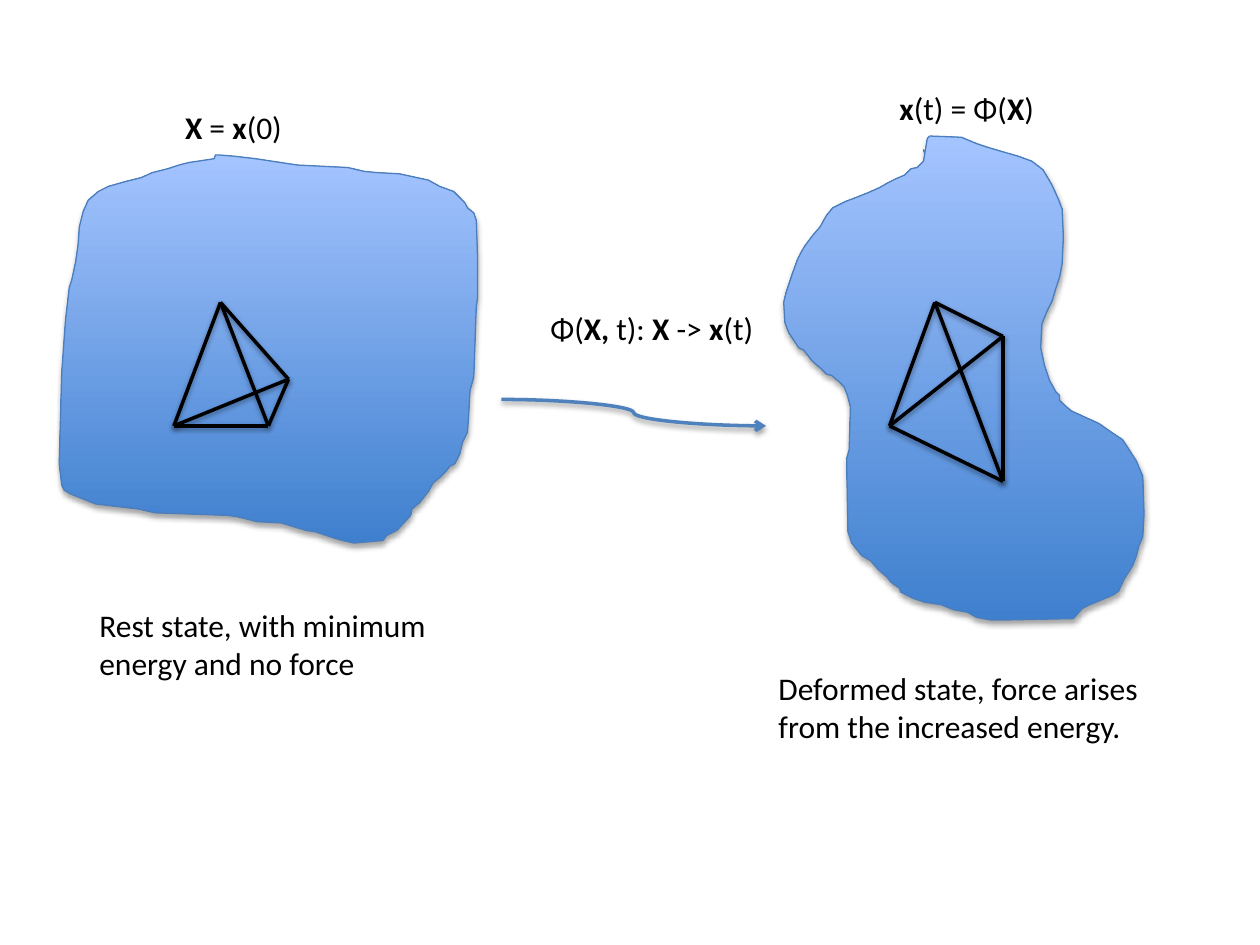
from dataclasses import dataclass
from itertools import combinations

from lxml import etree
from pptx import Presentation, util as u
from pptx.dml.color import RGBColor
from pptx.enum import shapes, text
from pptx.oxml import ns


@dataclass(frozen=True)
class Theme:
    font: str = "Calibri"
    size: int = 18
    ink: str = "000000"
    body_low: str = "3F80CE"
    body_high: str = "A4C4FF"
    outline: str = "4B7EBC"
    mapping: str = "4F81BD"
    outline_width: float = 0.75
    line_width: float = 2
    shadow_blur: float = 3.1
    body_shadow: tuple = (35, 1.8)
    line_shadow: tuple = (38, 1.6)


class Sketch:
    def __init__(self, slide, theme):
        self.slide = slide
        self.theme = theme

    def shade(self, element, opacity, distance):
        effects = etree.SubElement(element.spPr, ns.qn("a:effectLst"))
        shadow = etree.SubElement(
            effects, ns.qn("a:outerShdw"),
            blurRad=str(u.Pt(self.theme.shadow_blur)), dist=str(u.Pt(distance)),
            dir="5400000", rotWithShape="0")
        color = etree.SubElement(shadow, ns.qn("a:srgbClr"), val=self.theme.ink)
        etree.SubElement(color, ns.qn("a:alpha"), val=str(opacity * 1000))

    def body(self, outline):
        points = [(u.Inches(x), u.Inches(y)) for x, y in outline]
        builder = self.slide.shapes.build_freeform(*points[0])
        builder.add_line_segments(points[1:], close=True)
        body = builder.convert_to_shape()
        body.fill.gradient()
        body.fill.gradient_angle = 90
        for stop, color in zip(body.fill.gradient_stops,
                               (self.theme.body_low, self.theme.body_high)):
            stop.color.rgb = RGBColor.from_string(color)
        body.line.color.rgb = RGBColor.from_string(self.theme.outline)
        body.line.width = u.Pt(self.theme.outline_width)
        self.shade(body._element, *self.theme.body_shadow)

    def line(self, start, end, color, kind=shapes.MSO_CONNECTOR.STRAIGHT, arrow=False):
        line = self.slide.shapes.add_connector(
            kind, *(u.Inches(value) for value in (*start, *end)))
        line.line.color.rgb = RGBColor.from_string(color)
        line.line.width = u.Pt(self.theme.line_width)
        if arrow:
            etree.SubElement(line.line._get_or_add_ln(), ns.qn("a:tailEnd"), type="arrow")
        self.shade(line._element, *self.theme.line_shadow)

    def mapping(self, start, end):
        self.line(start, end, self.theme.mapping, shapes.MSO_CONNECTOR.CURVE, True)

    def tetrahedron(self, vertices):
        for start, end in combinations(vertices, 2):
            self.line(start, end, self.theme.ink)

    def label(self, left, top, width, height, *runs):
        box = self.slide.shapes.add_textbox(
            *(u.Inches(value) for value in (left, top, width, height)))
        frame = box.text_frame
        frame.word_wrap = True
        frame.auto_size = text.MSO_AUTO_SIZE.SHAPE_TO_FIT_TEXT
        for words, bold in runs:
            run = frame.paragraphs[0].add_run()
            run.text = words
            run.font.name = self.theme.font
            run.font.size = u.Pt(self.theme.size)
            run.font.bold = bold
            run.font.color.rgb = RGBColor.from_string(self.theme.ink)


REST_BODY = [
    (1.7, 1.26), (1.5, 1.29), (1.42, 1.31), (1.33, 1.34), (1.21, 1.37), (1.12, 1.41),
    (1, 1.44), (0.86, 1.48), (0.78, 1.52), (0.7, 1.59), (0.66, 1.68), (0.63, 1.8),
    (0.62, 1.94), (0.6, 2.08), (0.57, 2.22), (0.55, 2.28), (0.52, 2.54), (0.49, 2.96),
    (0.47, 3.68), (0.49, 3.85), (0.51, 3.89), (0.56, 3.92), (0.66, 3.96), (0.76, 4),
    (0.93, 4.02), (1.1, 4.04), (1.23, 4.07), (1.8, 4.09), (1.88, 4.1), (2.04, 4.14),
    (2.23, 4.15), (2.43, 4.21), (2.5, 4.22), (2.65, 4.27), (2.72, 4.29), (2.81, 4.31),
    (3.04, 4.29), (3.07, 4.25), (3.15, 4.21), (3.26, 4.09), (3.27, 4.04), (3.33, 3.99),
    (3.4, 3.9), (3.44, 3.83), (3.49, 3.79), (3.54, 3.74), (3.57, 3.7), (3.61, 3.68),
    (3.65, 3.6), (3.67, 3.51), (3.71, 3.43), (3.72, 3.28), (3.73, 3.1), (3.76, 2.99),
    (3.78, 2.43), (3.79, 2.36), (3.79, 2.05), (3.78, 1.75), (3.76, 1.69), (3.71, 1.65),
    (3.69, 1.61), (3.6, 1.52), (3.49, 1.48), (3.4, 1.43), (3.31, 1.41), (3.17, 1.38),
    (2.99, 1.37), (2.89, 1.36), (2.76, 1.33), (2.36, 1.31), (2.03, 1.26), (1.86, 1.24),
    (1.74, 1.23), (1.71, 1.23),
]
DEFORMED_BODY = [
    (7.33, 1.19), (7.34, 1.22), (7.33, 1.28), (7.28, 1.33), (7.23, 1.34), (7.18, 1.39),
    (7.11, 1.42), (7.05, 1.45), (6.98, 1.49), (6.89, 1.53), (6.79, 1.57), (6.71, 1.6),
    (6.61, 1.65), (6.56, 1.71), (6.51, 1.8), (6.45, 1.87), (6.39, 1.95), (6.36, 2),
    (6.33, 2.06), (6.29, 2.17), (6.26, 2.26), (6.24, 2.32), (6.22, 2.4), (6.23, 2.56),
    (6.26, 2.64), (6.34, 2.76), (6.38, 2.78), (6.45, 2.87), (6.51, 2.92), (6.56, 2.97),
    (6.6, 2.98), (6.66, 3.03), (6.7, 3.07), (6.73, 3.15), (6.75, 3.23), (6.74, 3.57),
    (6.72, 3.64), (6.73, 4.22), (6.76, 4.31), (6.84, 4.41), (6.91, 4.45), (6.97, 4.52),
    (7.04, 4.58), (7.07, 4.62), (7.14, 4.67), (7.15, 4.7), (7.25, 4.75), (7.34, 4.78),
    (7.47, 4.8), (7.57, 4.84), (7.68, 4.86), (7.75, 4.9), (7.86, 4.92), (8.02, 4.92),
    (8.52, 4.91), (8.59, 4.83), (8.65, 4.8), (8.77, 4.75), (8.84, 4.72), (8.88, 4.69),
    (8.92, 4.6), (8.99, 4.49), (9.02, 4.41), (9.04, 4.33), (9.07, 4.26), (9.08, 4.08),
    (9.07, 3.78), (9.02, 3.66), (8.93, 3.52), (8.91, 3.49), (8.82, 3.43), (8.72, 3.36),
    (8.63, 3.32), (8.5, 3.26), (8.41, 3.18), (8.41, 3.14), (8.38, 3.11), (8.33, 3.02),
    (8.29, 2.9), (8.26, 2.76), (8.27, 2.57), (8.31, 2.47), (8.35, 2.39), (8.38, 2.29),
    (8.41, 2.2), (8.43, 2.09), (8.44, 1.88), (8.43, 1.66), (8.4, 1.58), (8.35, 1.47),
    (8.28, 1.35), (8.19, 1.28), (8.08, 1.24), (7.94, 1.2), (7.84, 1.17), (7.75, 1.14),
    (7.63, 1.09), (7.38, 1.08), (7.36, 1.1), (7.34, 1.22),
]
REST_VERTICES = [(1.75, 2.4), (1.38, 3.38), (2.29, 3.01), (2.13, 3.38)]
DEFORMED_VERTICES = [(7.42, 2.4), (7.06, 3.38), (7.96, 2.67), (7.96, 3.82)]


def main():
    deck = Presentation()
    deck.slide_width, deck.slide_height = u.Inches(10), u.Inches(7.5)
    sketch = Sketch(deck.slides.add_slide(deck.slide_layouts[6]), Theme())

    sketch.body(REST_BODY)
    sketch.body(DEFORMED_BODY)
    sketch.mapping((3.98, 3.17), (6.08, 3.38))
    sketch.label(4.27, 2.4, 1.82, 0.4, ("Φ(", False), ("X,", True), (" t): ", False),
                 ("X ", True), ("->", False), (" x", True), ("(t)", False))
    sketch.label(1.37, 0.81, 1.68, 0.4,
                 ("X ", True), ("= ", False), ("x", True), ("(0)", False))
    sketch.label(7.04, 0.66, 2.05, 0.4,
                 ("x", True), ("(t) = Φ(", False), ("X", True), (")", False))
    sketch.tetrahedron(REST_VERTICES)
    sketch.tetrahedron(DEFORMED_VERTICES)
    sketch.label(0.69, 4.76, 3.45, 0.71,
                 ("Rest state, with minimum energy and no force", False))
    sketch.label(6.08, 5.26, 3.45, 0.71,
                 ("Deformed state, force arises from the increased energy.", False))

    deck.save("out.pptx")


if __name__ == "__main__":
    main()
